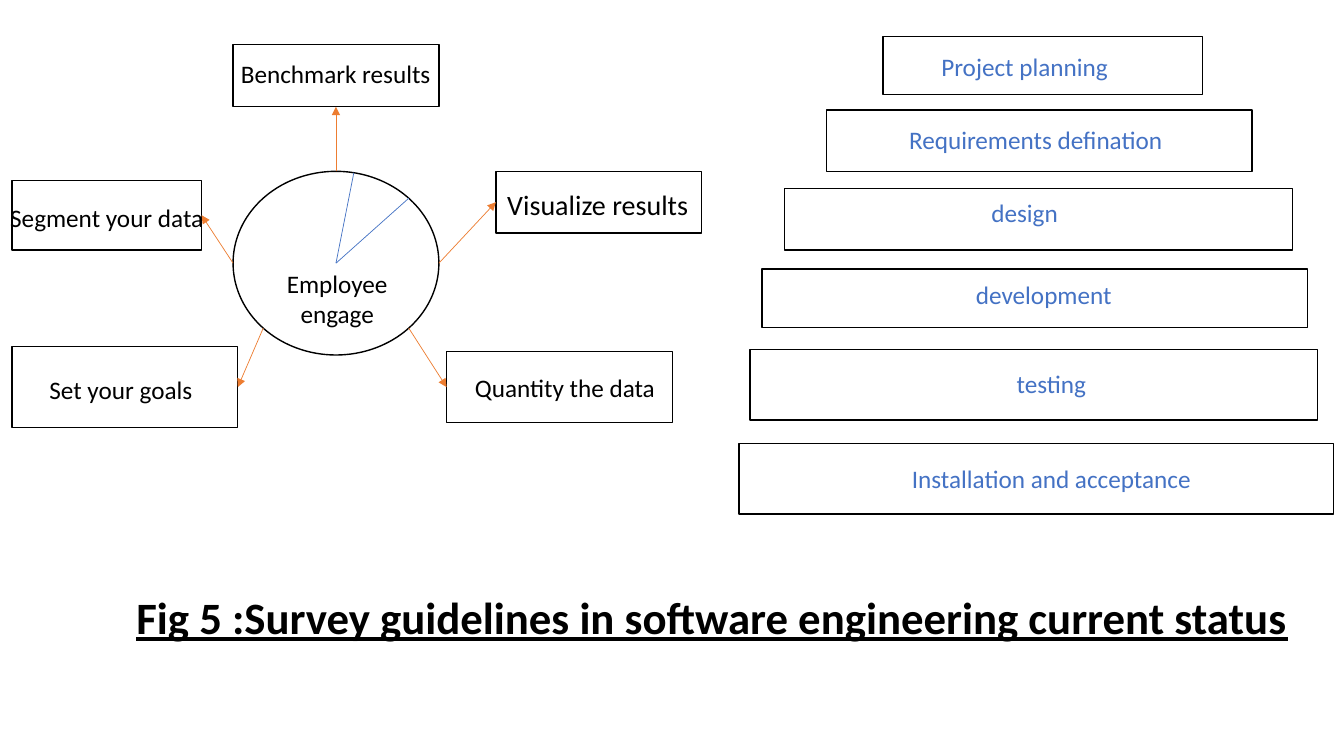
from math import cos, radians, sin

from lxml import etree
from pptx import Presentation
from pptx.dml.color import RGBColor
from pptx.enum.shapes import MSO_CONNECTOR, MSO_SHAPE
from pptx.enum.text import MSO_ANCHOR, MSO_AUTO_SIZE, PP_ALIGN
from pptx.oxml.ns import qn
from pptx.util import Pt

STRAIGHT = MSO_CONNECTOR.STRAIGHT
RECTANGLE, OVAL = MSO_SHAPE.RECTANGLE, MSO_SHAPE.OVAL
TOP, CENTER, NO_AUTOFIT = MSO_ANCHOR.TOP, PP_ALIGN.CENTER, MSO_AUTO_SIZE.NONE
BLACK, BLUE, ORANGE = "000000", "4472C4", "ED7D31"
SITE_TOP, SITE_LEFT, SITE_BOTTOM, SITE_RIGHT = range(4)


def color(hex_code):
    """Turn a hex string into a colour."""
    return RGBColor.from_string(hex_code)


def write_text(box, text, size=18, ink=BLACK, bold=False, underline=False, wrap=False):
    """Fill a box with centred text, one paragraph for each line."""
    frame = box.text_frame
    frame.text = text
    frame.word_wrap = wrap
    frame.auto_size = NO_AUTOFIT
    frame.vertical_anchor = TOP
    for para in frame.paragraphs:
        para.alignment = CENTER
        para.line_spacing = 1.0
        para.space_before = Pt(0)
        font = para.runs[0].font
        font.name, font.size = "Calibri", Pt(size)
        font.bold, font.underline = bold, underline
        font.color.rgb = color(ink)


deck = Presentation()
deck.slide_width, deck.slide_height = Pt(960), Pt(540)
page = deck.slides.add_slide(deck.slide_layouts[5])
shapes = page.shapes

# Figure caption
caption = shapes.title
caption.left, caption.top, caption.width, caption.height = Pt(86.4), Pt(417.6), Pt(844.6), Pt(46)
write_text(caption, "Fig 5 :Survey guidelines in software engineering current status",
           size=32, bold=True, underline=True)

# Outlines: the survey circle, its five steps, and the widening project phases
hub_x, hub_y, radius_x, radius_y = 240, 188, 73.5, 65.6
# name, box (left, top, width, height), label (centre, top), size, angle on circle, box site
steps = [
    ("Benchmark results", (166.5, 31.7, 147, 44.6), (239.8, 38.2), 18, 270, SITE_BOTTOM),
    ("Visualize results", (354.2, 122.4, 147, 44), (427, 130.3), 20, 0, SITE_LEFT),
    ("Quantity the data", (319, 251.3, 161.3, 50.4), (403.6, 262.1), 18, 45, SITE_LEFT),
    ("Segment your data", (8.6, 128.9, 135.4, 49.7), (76.3, 141.1), 18, 180, SITE_RIGHT),
    ("Set your goals", (8.6, 247.7, 161.3, 57.6), (86.4, 264.2), 18, 135, SITE_RIGHT),
]
phases = [
    ("Project planning", (630.7, 25.9, 228.2, 41.8), (731.9, 33.1)),
    ("Requirements defination", (590.4, 78.5, 303.8, 43.9), (739.8, 85)),
    ("design", (560.2, 134.6, 362.9, 43.9), (731.9, 137.5)),
    ("development", (544.3, 192.2, 389.5, 41.8), (745.6, 195.8)),
    ("testing", (535.7, 249.8, 405.4, 50.4), (751, 259.9)),
    ("Installation and acceptance", (527.8, 316.8, 424.8, 50.4), (751, 327.6)),
]
circle = (hub_x - radius_x, hub_y - radius_y, 2 * radius_x, 2 * radius_y)
outlines = [(OVAL, circle)] + [(RECTANGLE, row[1]) for row in steps + phases]
drawn = []
for kind, place in outlines:
    shape = shapes.add_shape(kind, *[Pt(value) for value in place])
    shape.shadow.inherit = False
    shape.fill.background()
    shape.line.color.rgb = color(BLACK)
    shape.line.width = Pt(1)
    drawn.append(shape)

# Two slice lines inside the circle and an arrow from its rim to each step
spokes = [(angle, BLUE, None, None) for angle in (280, 315)]
spokes += [(row[4], ORANGE, box, row[5]) for row, box in zip(steps, drawn[1:])]
for angle, ink, target, site in spokes:
    rim_x = Pt(hub_x + radius_x * cos(radians(angle)))
    rim_y = Pt(hub_y + radius_y * sin(radians(angle)))
    line = shapes.add_connector(STRAIGHT, rim_x, rim_y, Pt(hub_x), Pt(hub_y))
    line.line.color.rgb = color(ink)
    line.line.width = Pt(0.5)
    if target is not None:
        line.end_connect(target, site)
        outline = line.line._get_or_add_ln()
        etree.SubElement(outline, qn("a:tailEnd"), type="triangle")
    etree.SubElement(line._element.spPr, qn("a:effectLst"))

# Labels, each centred on its own point
labels = [("Employee\nengage", (240.9, 187.9), 18, BLACK)]
labels += [(row[0], row[2], row[3], BLACK) for row in steps]
labels += [(name, point, 18, BLUE) for name, place, point in phases]
label_width = 200
for text, (center, top), size, ink in labels:
    box = shapes.add_textbox(Pt(center - label_width / 2), Pt(top), Pt(label_width),
                             Pt(7.2 + 1.2 * size * (text.count("\n") + 1)))
    write_text(box, text, size=size, ink=ink)

deck.save("out.pptx")
